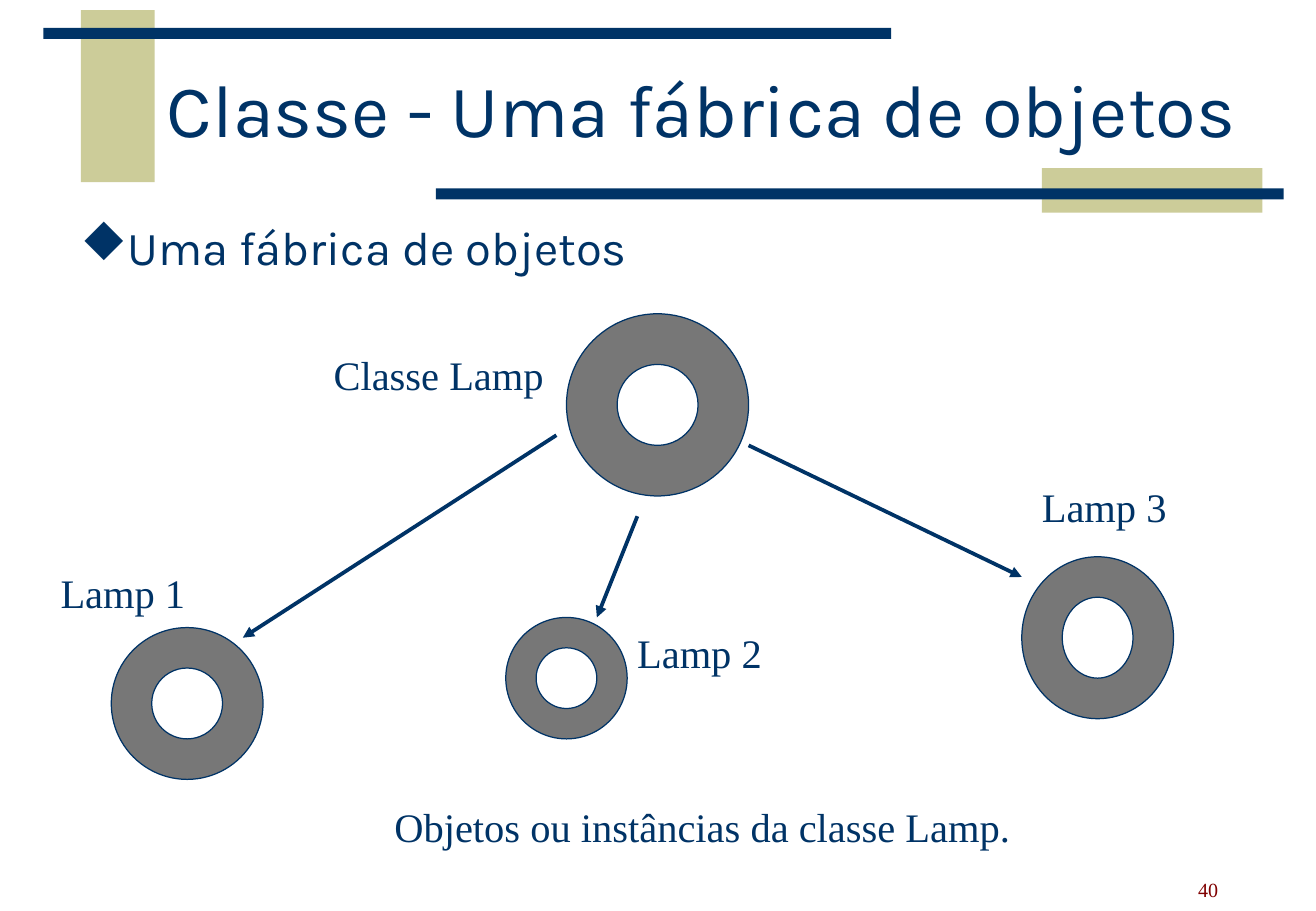
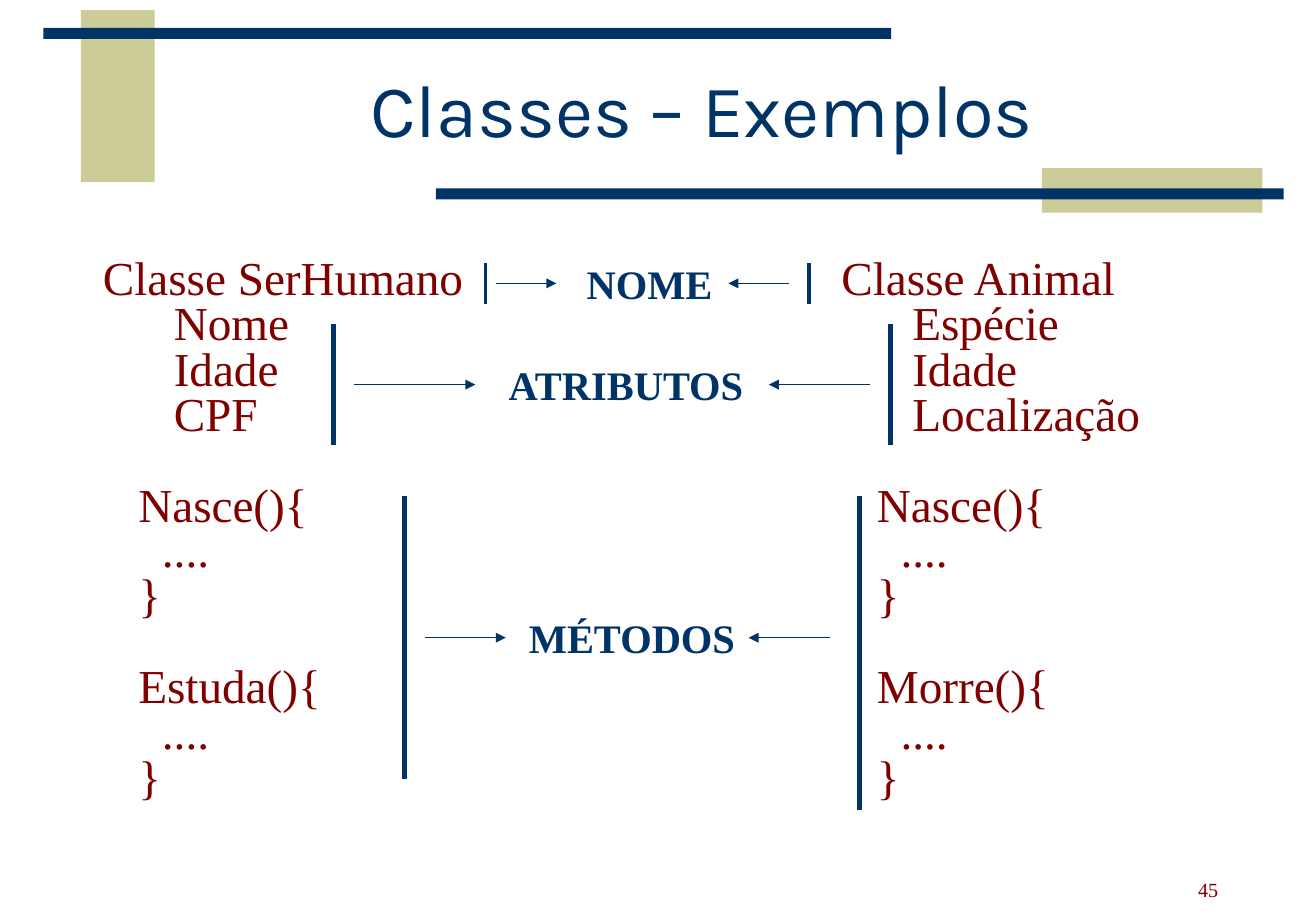
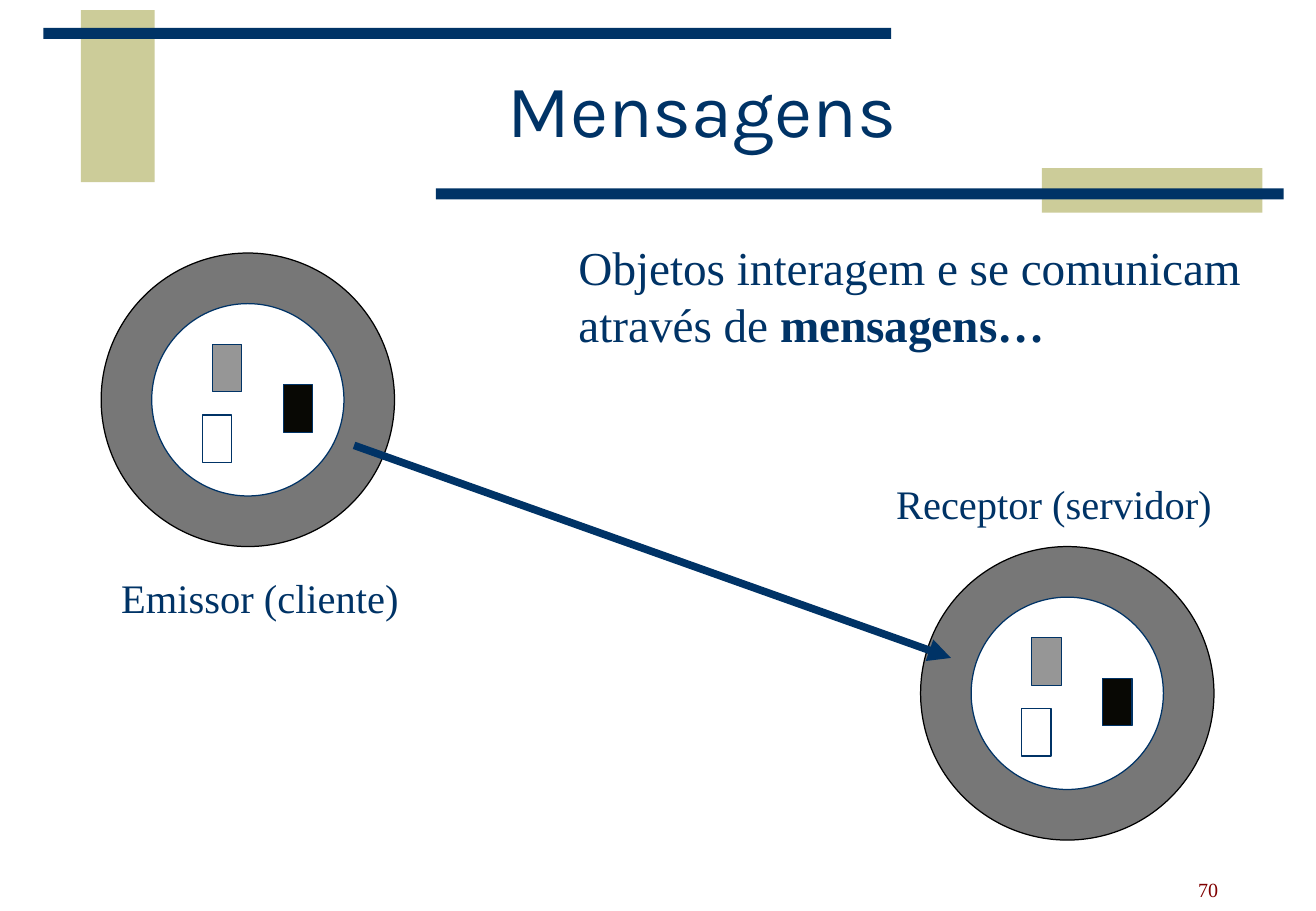
"""Build three slides on classes, objects and messages."""
import pptx
import pptx.dml.color
import pptx.enum.shapes
import pptx.enum.text
import pptx.oxml.ns
import pptx.util
from lxml import etree

CELL = pptx.util.Inches(1) / 12
NAVY, MAROON, KHAKI = "003366", "800000", "CCCC99"
GRAY, SILVER, INK, BLACK, WHITE = "777777", "969696", "080804", "000000", "FFFFFF"
SERIF, SANS = "Times New Roman", "Karla"
OVAL = pptx.enum.shapes.MSO_SHAPE.OVAL
RECTANGLE = pptx.enum.shapes.MSO_SHAPE.RECTANGLE
qualified = pptx.oxml.ns.qn
colour = pptx.dml.color.RGBColor.from_string


def draw(page, kind, area, fill, outline=None):
    shape = page.shapes.add_shape(kind, *[round(side * CELL) for side in area])
    shape.shadow.inherit = False
    shape.fill.solid()
    shape.fill.fore_color.rgb = colour(fill)
    if outline:
        shape.line.color.rgb = colour(outline)
        shape.line.width = pptx.util.Pt(0.75)
    else:
        shape.line.fill.background()
    return shape


def write(para, text, size, ink=NAVY, font=SERIF, bold=False):
    span = para.add_run()
    span.text = text
    span.font.size = pptx.util.Pt(size)
    span.font.name = font
    span.font.bold = bold
    span.font.color.rgb = colour(ink)


deck = pptx.Presentation()
deck.slide_width = pptx.util.Inches(10.84)
deck.slide_height = pptx.util.Inches(7.5)
layout = deck.slide_layouts[5]

pages = []
for heading, number in [
    ("Classe - Uma fábrica de objetos", "40"),
    ("Classes – Exemplos", "45"),
    ("Mensagens", "70"),
]:
    page = deck.slides.add_slide(layout)
    pages.append(page)
    title = page.shapes.title
    title.left, title.top, title.width, title.height = [
        round(side * CELL) for side in (14.8, 4.7, 109.2, 13.3)
    ]
    title.text_frame.word_wrap = True
    title.text_frame.auto_size = pptx.enum.text.MSO_AUTO_SIZE.NONE
    title.text_frame.vertical_anchor = pptx.enum.text.MSO_ANCHOR.MIDDLE
    para = title.text_frame.paragraphs[0]
    para.alignment = pptx.enum.text.PP_ALIGN.CENTER
    para.line_spacing = 0.85
    write(para, heading, 44, font=SANS)

    footer = page.shapes.add_textbox(*[round(side * CELL) for side in (89, 86, 32.6, 3.7)])
    footer.text_frame.word_wrap = True
    footer.text_frame.vertical_anchor = pptx.enum.text.MSO_ANCHOR.BOTTOM
    para = footer.text_frame.paragraphs[0]
    para.alignment = pptx.enum.text.PP_ALIGN.RIGHT
    para.line_spacing = 0.9
    write(para, number, 11.9, MAROON)

factory, examples, messages = pages

bands = [
    ((8, 1, 7.3, 17), KHAKI),
    ((4.3, 2.75, 83.8, 1.1), NAVY),
    ((103, 16.6, 21.8, 4.4), KHAKI),
    ((43.1, 18.6, 83.8, 1.1), NAVY),
]
for order, (area, fill) in enumerate(bands):
    band = draw(factory, RECTANGLE, area, fill)
    band.element.nvSpPr.cNvPr.set("id", str(100 + order))
    layout.shapes.element.insert(2 + order, band.element)

rings = [
    (factory, 56, 31, 18, 18, 5, NAVY),
    (factory, 101, 55, 15, 16, 4, NAVY),
    (factory, 11, 62, 15, 15, 4, NAVY),
    (factory, 50, 61, 12, 12, 3, NAVY),
    (messages, 10, 25, 29, 29, 5, BLACK),
    (messages, 91, 54, 29, 29, 5, BLACK),
]
for page, column, row, width, height, rim, outline in rings:
    draw(page, OVAL, (column, row, width, height), GRAY, outline)
    hole = (column + rim, row + rim, width - 2 * rim, height - 2 * rim)
    draw(page, OVAL, hole, WHITE, NAVY)
    if page is messages:
        for across, down, fill in [(11, 9, SILVER), (18, 13, INK), (10, 16, WHITE)]:
            draw(page, RECTANGLE, (column + across, row + down, 2.9, 4.7), fill, NAVY)

lines = [
    (factory, 2.25, True, [(55, 43, 24, 63), (63, 51, 59, 61), (74, 44, 101, 57)]),
    (examples, 3, False, [(33, 32, 33, 44), (88, 32, 88, 44),
                          (40, 49, 40, 77), (85, 49, 85, 80)]),
    (examples, 2.25, False, [(48, 26, 48, 30), (80, 26, 80, 30)]),
    (examples, 0.75, True, [(49, 28, 55, 28), (78, 28, 72, 28),
                            (35, 38, 47, 38), (86, 38, 76, 38),
                            (42, 63, 50, 63), (82, 63, 74, 63)]),
    (messages, 4.5, True, [(35, 44, 94, 65)]),
]
for page, weight, arrow, routes in lines:
    for route in routes:
        line = page.shapes.add_connector(
            pptx.enum.shapes.MSO_CONNECTOR.STRAIGHT, *[round(end * CELL) for end in route]
        )
        line.line.color.rgb = colour(NAVY)
        line.line.width = pptx.util.Pt(weight)
        if arrow:
            stroke = line.line._get_or_add_ln()
            etree.SubElement(stroke, qualified("a:tailEnd"), type="triangle")
        etree.SubElement(line.element.spPr, qualified("a:effectLst"))

labels = [
    (factory, 31.8, 34, 24, "Classe Lamp"),
    (factory, 4.8, 55.5, 16, "Lamp 1"),
    (factory, 61.8, 61.5, 16, "Lamp 2"),
    (factory, 101.8, 47, 16, "Lamp 3"),
    (factory, 37.8, 78.6, 66, "Objetos ou instâncias da classe Lamp."),
    (examples, 56.8, 25, 16, "NOME"),
    (examples, 49.1, 35, 28, "ATRIBUTOS"),
    (examples, 51.1, 60, 24, "MÉTODOS"),
    (messages, 87.4, 46.7, 35, "Receptor (servidor)"),
    (messages, 10.8, 56, 32, "Emissor (cliente)"),
]
for page, column, row, width, text in labels:
    box = page.shapes.add_textbox(*[round(side * CELL) for side in (column, row, width, 6)])
    box.text_frame.word_wrap = True
    write(box.text_frame.paragraphs[0], text, 24, bold=page is examples)

box = factory.shapes.add_textbox(*[round(side * CELL) for side in (6.8, 21, 117.7, 8)])
box.text_frame.word_wrap = True
para = box.text_frame.paragraphs[0]
properties = para._p.get_or_add_pPr()
hang = round(4.6 * CELL)
properties.set("marL", str(hang))
properties.set("indent", str(-hang))
bullet_ink = etree.SubElement(properties, qualified("a:buClr"))
etree.SubElement(bullet_ink, qualified("a:srgbClr"), val=NAVY)
etree.SubElement(
    properties, qualified("a:buFont"), typeface="Wingdings", pitchFamily="2", charset="2"
)
etree.SubElement(properties, qualified("a:buChar"), char="u")
write(para, "Uma fábrica de objetos", 28, font=SANS)

classes = [
    (9, "Classe SerHumano", ["Nome", "Idade", "CPF"], ["Nasce(){", "Estuda(){"]),
    (82, "Classe Animal", ["Espécie", "Idade", "Localização"], ["Nasce(){", "Morre(){"]),
]
for column, name, attributes, methods in classes:
    box = examples.shapes.add_textbox(*[round(side * CELL) for side in (column, 25, 41, 55)])
    box.text_frame.word_wrap = True
    rows = [(name, 0, 0)] + [(attribute, 42, 0) for attribute in attributes]
    for method in methods:
        rows += [(method, 21, 26.9), ("....", 35, 0), ("}", 21, 0)]
    for order, (text, indent, gap) in enumerate(rows):
        para = box.text_frame.add_paragraph() if order else box.text_frame.paragraphs[0]
        para._p.get_or_add_pPr().set("marL", str(pptx.util.Pt(indent)))
        para.line_spacing = 0.8
        if gap:
            para.space_before = pptx.util.Pt(gap)
        write(para, text, 28, MAROON)

box = messages.shapes.add_textbox(*[round(side * CELL) for side in (56, 23, 70, 12.5)])
box.text_frame.word_wrap = True
write(box.text_frame.paragraphs[0], "Objetos interagem e se comunicam", 28)
para = box.text_frame.add_paragraph()
write(para, "através de ", 28)
write(para, "mensagens…", 28, bold=True)

deck.save("out.pptx")
